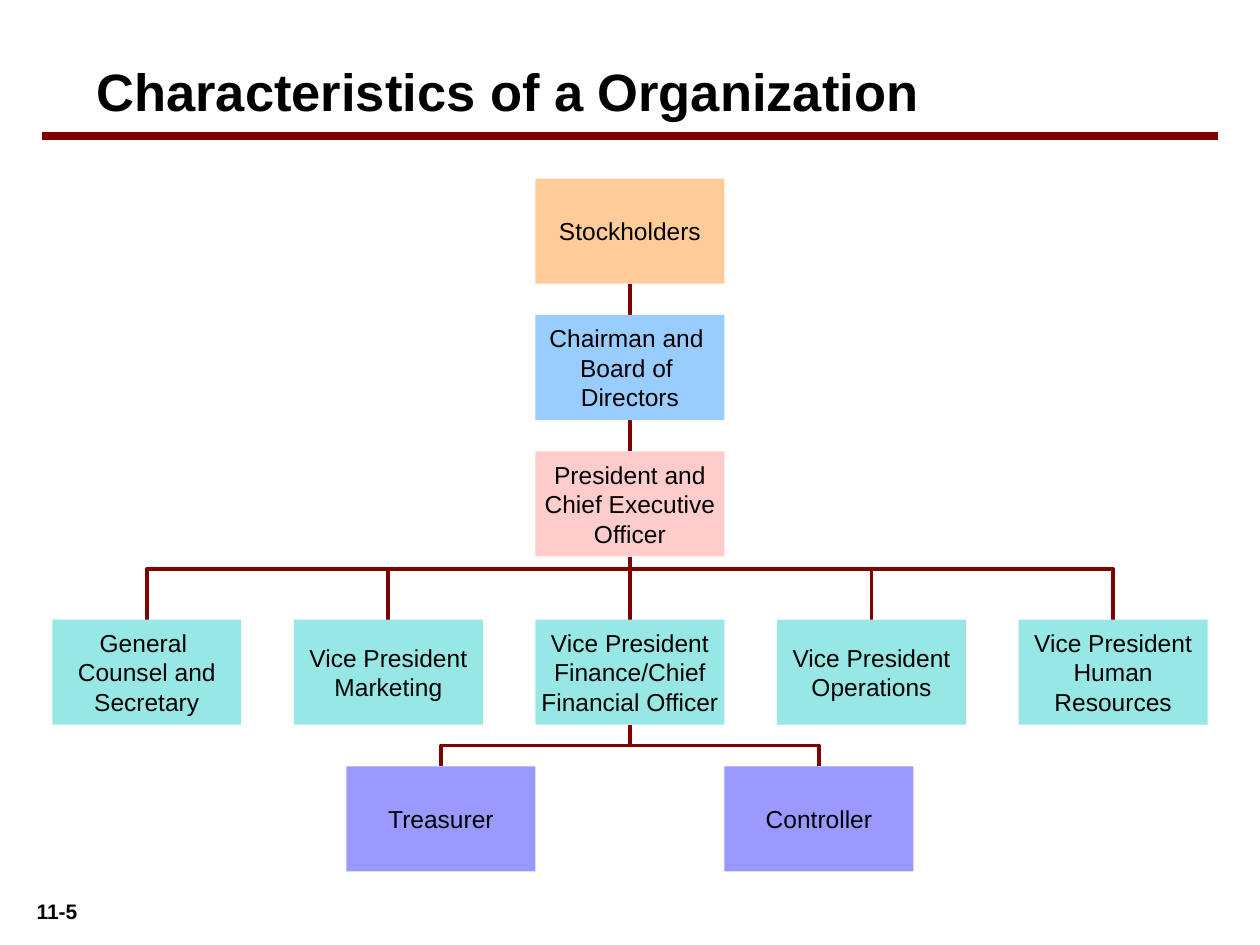
from lxml import etree
from pptx import Presentation
from pptx.dml.color import RGBColor
from pptx.enum.shapes import MSO_CONNECTOR, MSO_SHAPE
from pptx.enum.text import MSO_ANCHOR, MSO_AUTO_SIZE, PP_ALIGN
from pptx.oxml.ns import qn
from pptx.util import Cm, Pt

STRAIGHT, ELBOW = MSO_CONNECTOR.STRAIGHT, MSO_CONNECTOR.ELBOW
RECTANGLE = MSO_SHAPE.RECTANGLE
TOP, MIDDLE = MSO_ANCHOR.TOP, MSO_ANCHOR.MIDDLE
LEFT, CENTER = PP_ALIGN.LEFT, PP_ALIGN.CENTER
NO_AUTOFIT = MSO_AUTO_SIZE.NONE

COLORS = {
    "text": "000000", "line": "800000", "owners": "FFCC99", "board": "99CCFF",
    "chief": "FFCCCC", "vice": "97E7E5", "finance": "9999FF",
}

# Chart grid in centimetres
MIDDLE_X = 12.7
BOX_W, BOX_H = 3.81, 2.12
CHAIN_TOP, CHAIN_STEP = 3.6, 2.75
VICE_TOP, VICE_STEP = 12.49, 4.87
FINANCE_TOP, FINANCE_STEP = 15.45, 7.62

chain = [
    ("owners", ["Stockholders"]),
    ("board", ["Chairman and ", "Board of ", "Directors"]),
    ("chief", ["President and", "Chief Executive", "Officer"]),
]
vice_presidents = [
    ["General ", "Counsel and", "Secretary"],
    ["Vice President", "Marketing"],
    ["Vice President", "Finance/Chief", "Financial Officer"],
    ["Vice President", "Operations"],
    ["Vice President", "Human", "Resources"],
]
finance_staff = [["Treasurer"], ["Controller"]]


def write(frame, lines, size, bold, align, anchor, wrap):
    frame.auto_size = NO_AUTOFIT
    frame.vertical_anchor = anchor
    frame.word_wrap = wrap
    frame.text = "\n".join(lines)
    font_format = {"name": "Arial", "size": Pt(size), "bold": bold}
    for paragraph in frame.paragraphs:
        paragraph.alignment = align
        for attribute, value in font_format.items():
            setattr(paragraph.font, attribute, value)
        paragraph.font.color.rgb = RGBColor.from_string(COLORS["text"])


def draw_line(kind, x1, y1, x2, y2, width=2.25):
    line = slide.shapes.add_connector(kind, Cm(x1), Cm(y1), Cm(x2), Cm(y2))
    line.line.color.rgb = RGBColor.from_string(COLORS["line"])
    line.line.width = Pt(width)
    etree.SubElement(line._element.spPr, qn("a:effectLst"))
    return line


prs = Presentation()
prs.slide_width, prs.slide_height = Cm(25.4), Cm(19.05)
slide = prs.slides.add_slide(prs.slide_layouts[5])

# Title and rule
title = slide.shapes.title
title_place = {"left": Cm(1.69), "top": Cm(1.06), "width": Cm(21.17), "height": Cm(1.55)}
for side, length in title_place.items():
    setattr(title, side, length)
write(title.text_frame, ["Characteristics of a Organization"], 30, True, LEFT, TOP, True)
draw_line(STRAIGHT, 0.85, 2.75, 24.55, 2.75, 4.5)

# Page number
page_number = slide.shapes.add_textbox(Cm(0.2), Cm(17.98), Cm(1.9), Cm(0.76))
write(page_number.text_frame, ["11-5"], 12, True, CENTER, TOP, True)

# Boxes as (centre, top, colour, lines)
boxes = [(MIDDLE_X, CHAIN_TOP + i * CHAIN_STEP, color, lines)
         for i, (color, lines) in enumerate(chain)]
boxes += [(MIDDLE_X + (i - 2) * VICE_STEP, VICE_TOP, "vice", lines)
          for i, lines in enumerate(vice_presidents)]
boxes += [(MIDDLE_X + (i - 0.5) * FINANCE_STEP, FINANCE_TOP, "finance", lines)
          for i, lines in enumerate(finance_staff)]

# Straight lines down the middle
middle_tops = [top for center, top, color, lines in boxes if center == MIDDLE_X]
for upper, lower in zip(middle_tops, middle_tops[1:]):
    draw_line(STRAIGHT, MIDDLE_X, upper + BOX_H, MIDDLE_X, lower)

# Elbow lines to the side boxes: turned a quarter so that they leave downwards
chief_top = middle_tops[-2]
for center, top, color, lines in boxes:
    if center == MIDDLE_X:
        continue
    parent_top, bend = (chief_top, 20000) if color == "vice" else (VICE_TOP, 50000)
    start_y = parent_top + BOX_H
    half_drop, half_span = (top - start_y) / 2, abs(center - MIDDLE_X) / 2
    mid_x, mid_y = (center + MIDDLE_X) / 2, (start_y + top) / 2
    side = 1 if center > MIDDLE_X else -1
    elbow = draw_line(ELBOW, mid_x + side * half_drop, mid_y - half_span,
                      mid_x - side * half_drop, mid_y + half_span)
    properties = elbow._element.spPr
    properties.find(qn("a:xfrm")).set("rot", str((180 + side * 90) * 60000))
    adjustments = properties.find(qn("a:prstGeom")).find(qn("a:avLst"))
    etree.SubElement(adjustments, qn("a:gd"), name="adj1", fmla=f"val {bend}")

# Boxes over the lines
for center, top, color, lines in boxes:
    box = slide.shapes.add_shape(RECTANGLE, Cm(center - BOX_W / 2), Cm(top),
                                 Cm(BOX_W), Cm(BOX_H))
    box.shadow.inherit = False
    box.fill.solid()
    box.fill.fore_color.rgb = RGBColor.from_string(COLORS[color])
    box.line.fill.background()
    write(box.text_frame, lines, 14, False, CENTER, MIDDLE, False)

prs.save("out.pptx")
